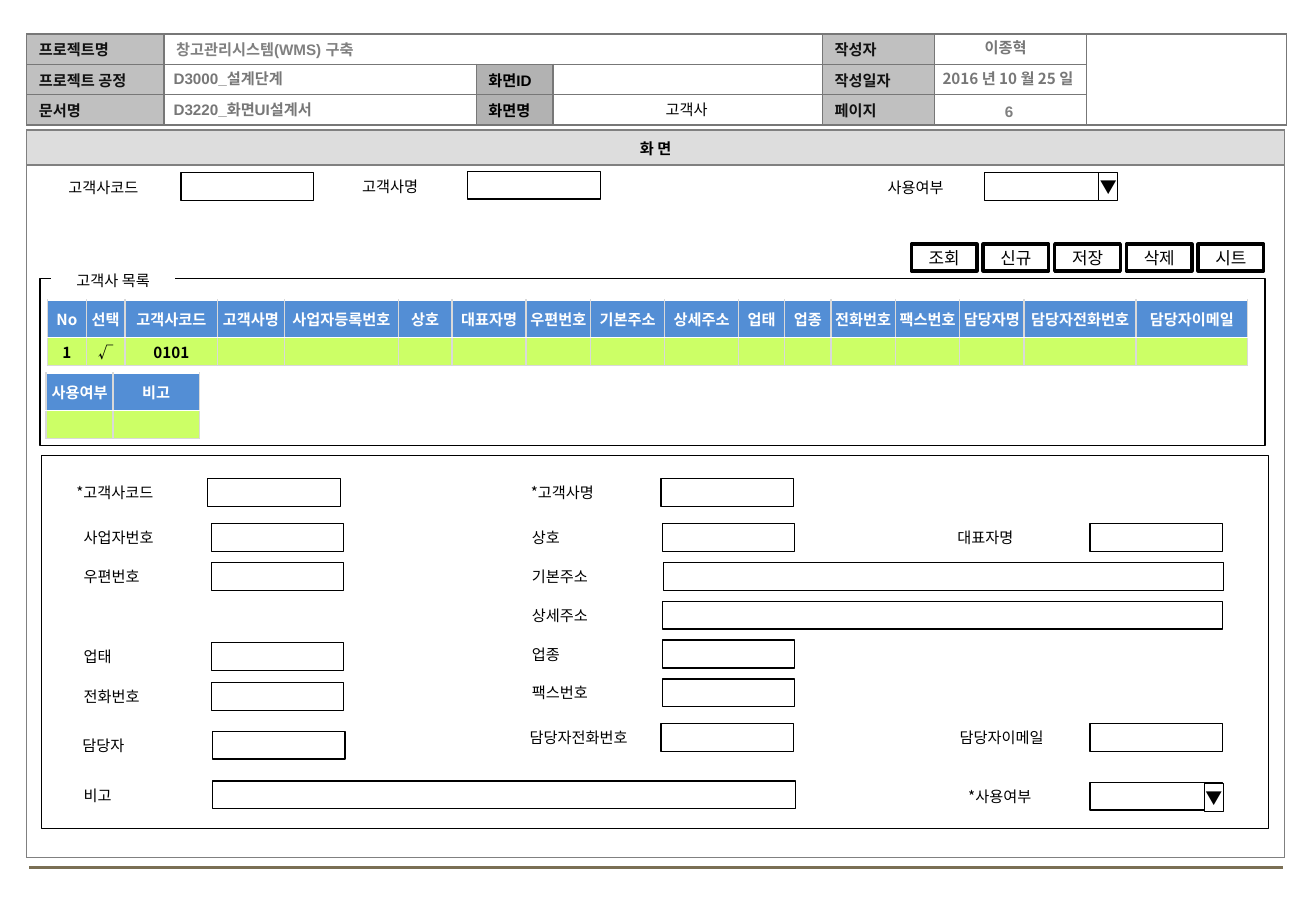
from lxml.etree import SubElement
from pptx import Presentation
from pptx.dml.color import RGBColor
from pptx.enum.shapes import MSO_CONNECTOR, MSO_SHAPE
from pptx.enum.text import MSO_ANCHOR, PP_ALIGN
from pptx.oxml.ns import qn
from pptx.util import Inches, Pt

HANGUL_FONT = "Noto Sans CJK KR"
FIELD_WIDTH, FIELD_HEIGHT = 1.09, 0.23
LEFT, CENTER = PP_ALIGN.LEFT, PP_ALIGN.CENTER
color = RGBColor.from_string

presentation = Presentation()
presentation.slide_width = Inches(10.83)
presentation.slide_height = Inches(7.5)
slide = presentation.slides.add_slide(presentation.slide_layouts[6])
shapes = slide.shapes


def write(frame, text, align=LEFT, size=9, font=HANGUL_FONT, ink="000000", bold=False):
    frame.word_wrap = True
    paragraph = frame.paragraphs[0]
    paragraph.text = text
    paragraph.alignment = align
    paragraph.font.size = Pt(size)
    paragraph.font.bold = bold
    paragraph.font.name = font
    paragraph.font.color.rgb = color(ink)
    properties = paragraph._p.pPr.find(qn("a:defRPr"))
    SubElement(properties, qn("a:ea"), typeface=HANGUL_FONT)


def add_grid(left, top, columns, rows, line, sides, margins):
    table = shapes.add_table(len(rows), len(columns), Inches(left), Inches(top),
                             Inches(sum(columns)), Inches(sum(rows))).table
    table.first_row = table.horz_banding = False
    for column, width in zip(table.columns, columns):
        column.width = Inches(width)
    for row, height in zip(table.rows, rows):
        row.height = Inches(height)
    for cell in table.iter_cells():
        cell.margin_left = cell.margin_right = Inches(margins[0])
        cell.margin_top = cell.margin_bottom = Inches(margins[1])
        cell.vertical_anchor = MSO_ANCHOR.MIDDLE
        # Small text size keeps empty rows low
        SubElement(cell.text_frame.paragraphs[0]._p, qn("a:endParaRPr"), sz="900")
        for side in sides:
            border = SubElement(cell._tc.tcPr, qn(f"a:ln{side}"), w=str(Pt(1)))
            SubElement(SubElement(border, qn("a:solidFill")), qn("a:srgbClr"), val=line)
        cell.fill.background()
    return table


# Footer rule
footer = shapes.add_connector(MSO_CONNECTOR.STRAIGHT, Inches(0.24), Inches(7.14),
                              Inches(10.56), Inches(7.14))
footer.line.color.rgb = color("7A6F54")
footer.line.width = Pt(1.75)
SubElement(footer._element.spPr, qn("a:effectLst"))

# Document header
header = add_grid(0.22, 0.28, [1.13, 2.57, 0.63, 2.22, 0.92, 1.25, 1.65], [0.25] * 3,
                  "777777", "LRTB", (0.1, 0.03))
header.cell(0, 1).merge(header.cell(0, 3))
header.cell(0, 6).merge(header.cell(2, 6))
header_labels = [
    (0, "C0C0C0", "111111", ["프로젝트명", "프로젝트 공정", "문서명"]),
    (2, "B2B2B2", "000000", [None, "화면ID", "화면명"]),
    (4, "C0C0C0", "111111", ["작성자", "작성일자", "페이지"]),
]
for column, fill, ink, labels in header_labels:
    for row, label in enumerate(labels):
        if label:
            cell = header.cell(row, column)
            cell.fill.solid()
            cell.fill.fore_color.rgb = color(fill)
            write(cell.text_frame, label, font="Arial", ink=ink, bold=True)
write(header.cell(0, 1).text_frame, "창고관리시스템(WMS) 구축",
      font="Arial", ink="808080", bold=True)

# Screen area
screen = add_grid(0.22, 1.07, [10.35], [0.29, 5.7], "808080", "LRTB", (0.02, 0))
title = screen.cell(0, 0)
title.fill.solid()
title.fill.fore_color.rgb = color("DDDDDD")
write(title.text_frame, "화 면", CENTER, font="Arial", bold=True)

# Header values: text, left, top, width, alignment, font, ink, bold
header_values = [
    ("D3000_설계단계", 1.33, 0.52, 5.42, LEFT, "Arial", "777777", True),
    ("D3220_화면UI설계서", 1.33, 0.78, 5.41, LEFT, "Arial", "777777", True),
    ("고객사", 4.56, 0.78, 2.18, CENTER, HANGUL_FONT, "000000", False),
    ("이종혁", 7.49, 0.27, 1.57, CENTER, HANGUL_FONT, "777777", True),
    ("2016 년 10 월 25 일", 7.51, 0.52, 1.57, CENTER, HANGUL_FONT, "777777", True),
    ("6", 7.68, 0.79, 1.25, CENTER, "Arial", "7F7F7F", True),
]
for text, left, top, width, align, font, ink, bold in header_values:
    box = shapes.add_textbox(Inches(left), Inches(top), Inches(width), Inches(0.25))
    write(box.text_frame, text, align, font=font, ink=ink, bold=bold)

# Customer list
list_columns = {
    "No": 0.32, "선택": 0.32, "고객사코드": 0.76, "고객사명": 0.55, "사업자등록번호": 0.94,
    "상호": 0.44, "대표자명": 0.61, "우편번호": 0.53, "기본주소": 0.61, "상세주소": 0.61,
    "업태": 0.38, "업종": 0.38, "전화번호": 0.53, "팩스번호": 0.53, "담당자명": 0.53,
    "담당자전화번호": 0.92, "담당자이메일": 0.92,
}
customer_lists = [
    (0.39, 2.47, list_columns, ["1", "√", "0101"]),
    (0.38, 3.07, {"사용여부": 0.55, "비고": 0.71}, []),
]
for left, top, columns, values in customer_lists:
    table = add_grid(left, top, list(columns.values()), [0.31, 0.23],
                     "D9D9D9", "LRB", (0.01, 0))
    table_rows = [(list(columns), "538ED5", "FFFFFF"), (values, "CCFF66", "000000")]
    for row, (texts, fill, ink) in enumerate(table_rows):
        for column in range(len(columns)):
            cell = table.cell(row, column)
            cell.fill.solid()
            cell.fill.fore_color.rgb = color(fill)
            if column < len(texts):
                write(cell.text_frame, texts[column], CENTER, ink=ink, bold=True)

# Search labels: text, left, top, width
search_labels = [("고객사코드", 0.38, 1.42, 0.94), ("고객사명", 2.74, 1.41, 0.94),
                 ("사용여부", 7.01, 1.42, 1.05)]
for text, left, top, width in search_labels:
    box = shapes.add_textbox(Inches(left), Inches(top), Inches(width), Inches(0.25))
    write(box.text_frame, text, CENTER)

# Form fields: label, label left, field left, field top, field width
form_fields = [
    ("*고객사코드", 0.53, 1.71, 3.94, FIELD_WIDTH),
    ("*고객사명", 4.27, 5.44, 3.94, FIELD_WIDTH),
    ("사업자번호", 0.59, 1.74, 4.31, FIELD_WIDTH),
    ("상호", 4.28, 5.45, 4.31, FIELD_WIDTH),
    ("대표자명", 7.78, 8.97, 4.31, FIELD_WIDTH),
    ("우편번호", 0.59, 1.74, 4.63, FIELD_WIDTH),
    ("기본주소", 4.28, 5.46, 4.63, 4.61),
    ("상세주소", 4.28, 5.45, 4.95, 4.61),
    ("업태", 0.59, 1.74, 5.29, FIELD_WIDTH),
    ("업종", 4.28, 5.45, 5.27, FIELD_WIDTH),
    ("전화번호", 0.59, 1.74, 5.62, FIELD_WIDTH),
    ("팩스번호", 4.28, 5.45, 5.59, FIELD_WIDTH),
    ("담당자", 0.58, 1.75, 6.02, FIELD_WIDTH),
    ("담당자전화번호", 4.26, 5.44, 5.96, FIELD_WIDTH),
    ("담당자이메일", 7.8, 8.97, 5.96, FIELD_WIDTH),
    ("비고", 0.59, 1.75, 6.43, 4.8),
    ("*사용여부", 7.87, 8.97, 6.44, FIELD_WIDTH),
]
for text, label_left, field_left, top, width in form_fields:
    box = shapes.add_textbox(Inches(label_left), Inches(top - 0.01),
                             Inches(1.17), Inches(0.25))
    write(box.text_frame, text)

# Rectangles: left, top, width, height, fill, line width, text, text size
rectangles = [
    (0.33, 2.29, 10.08, 1.38, None, 0.75, "", 9),
    (0.42, 2.18, 1.02, 0.25, "FFFFFF", 0, "고객사 목록", 9),
    (0.34, 3.75, 10.1, 3.07, None, 0.75, "", 9),
]
for left, top in [(1.49, 1.42), (3.85, 1.41), (8.1, 1.42)]:
    rectangles.append((left, top, FIELD_WIDTH, FIELD_HEIGHT, "FFFFFF", 0.75, "", 9))
for text, label_left, left, top, width in form_fields:
    rectangles.append((left, top, width, FIELD_HEIGHT, "FFFFFF", 0.75, "", 9))
for left, top in [(9.04, 1.42), (9.91, 6.45)]:
    rectangles.append((left, top, 0.16, FIELD_HEIGHT, "FFFFFF", 0.75, "▼", 10))
for index, text in enumerate(["조회", "신규", "저장", "삭제", "시트"]):
    rectangles.append((7.5 + 0.59 * index, 2.01, 0.54, 0.22, "FFFFFF", 2, text, 10))

for left, top, width, height, fill, line_width, text, size in rectangles:
    shape = shapes.add_shape(MSO_SHAPE.RECTANGLE, Inches(left), Inches(top),
                             Inches(width), Inches(height))
    shape.shadow.inherit = False
    if fill:
        shape.fill.solid()
        shape.fill.fore_color.rgb = color(fill)
    else:
        shape.fill.background()
    if line_width:
        shape.line.color.rgb = color("000000")
        shape.line.width = Pt(line_width)
    else:
        shape.line.fill.background()
    if text:
        frame = shape.text_frame
        write(frame, text, CENTER, size)
        frame.word_wrap = False
        frame.vertical_anchor = MSO_ANCHOR.MIDDLE
        frame.margin_left = frame.margin_right = Inches(0.02)
        frame.margin_top = frame.margin_bottom = Inches(0.04)

presentation.save("out.pptx")
